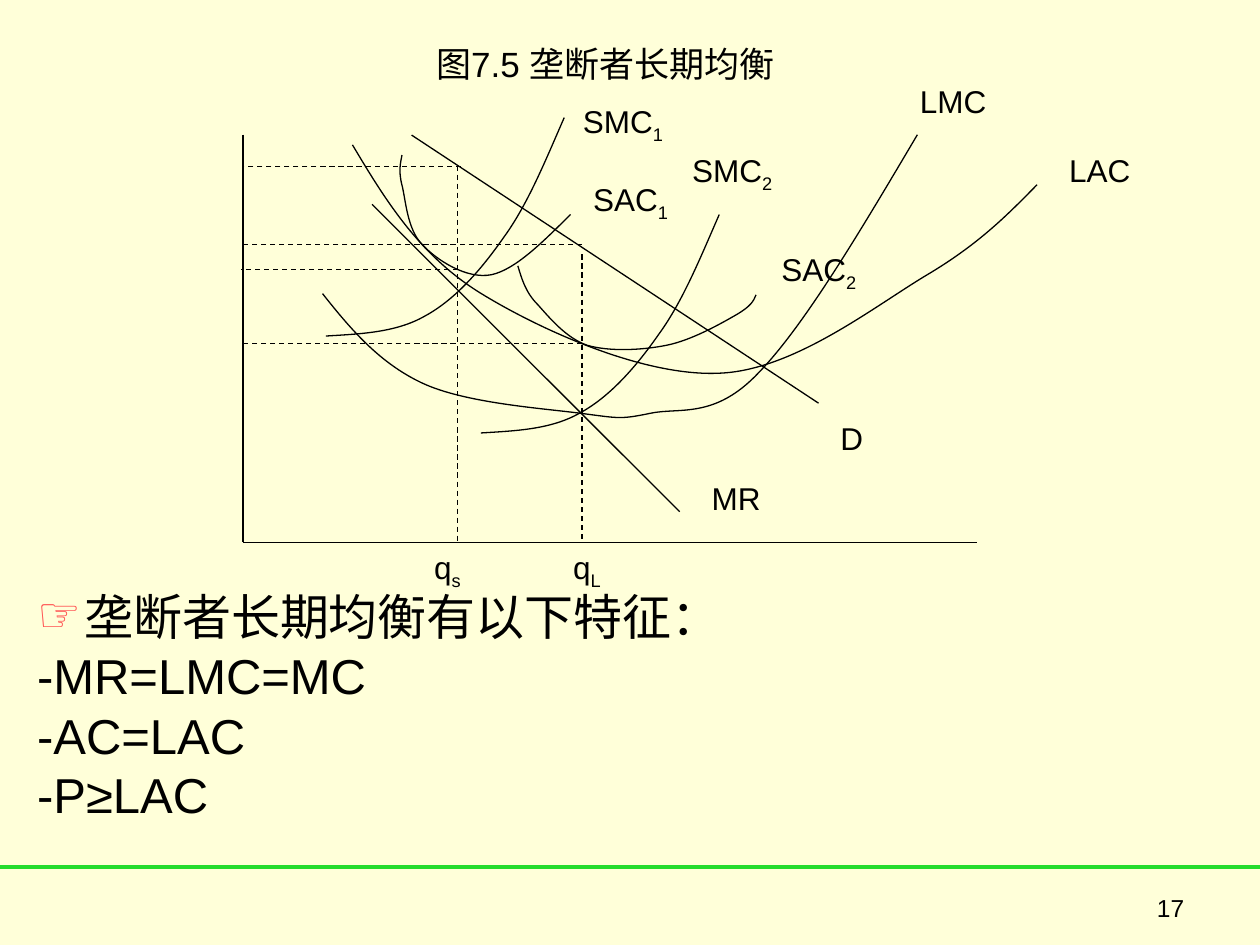
from lxml import etree
from pptx import Presentation
from pptx.dml.color import RGBColor
from pptx.enum import dml, shapes, text
from pptx.oxml import ns
from pptx.util import Pt

CREAM = RGBColor(0xFF, 0xFF, 0xD9)
GREEN = RGBColor(0x24, 0xDC, 0x2D)
RED = RGBColor(0xFF, 0x50, 0x50)
BLACK = RGBColor(0, 0, 0)
FONT = "Arial"

deck = Presentation()
deck.slide_width, deck.slide_height = Pt(720), Pt(540)
page = deck.slides.add_slide(deck.slide_layouts[1])
page.background.fill.solid()
page.background.fill.fore_color.rgb = CREAM


def draw_line(x1, y1, x2, y2, color=BLACK, width=0.75, dashed=False):
    line = page.shapes.add_connector(
        shapes.MSO_CONNECTOR.STRAIGHT, Pt(x1), Pt(y1), Pt(x2), Pt(y2))
    line.line.color.rgb = color
    line.line.width = Pt(width)
    if dashed:
        line.line.dash_style = dml.MSO_LINE.DASH
    etree.SubElement(line._element.spPr, ns.qn("a:effectLst"))


def style_span(span, size):
    span.font.name = FONT
    span.font.size = Pt(size)
    span.font.color.rgb = BLACK


draw_line(0, 495.4, 720, 495.4, GREEN, 2.25)

title = page.shapes.title
title.left, title.top, title.width, title.height = Pt(242), Pt(20), Pt(222), Pt(32)
frame = title.text_frame
frame.text = "图7.5 垄断者长期均衡"
frame.word_wrap = False
frame.auto_size = text.MSO_AUTO_SIZE.NONE
frame.vertical_anchor = text.MSO_ANCHOR.MIDDLE
frame.paragraphs[0].alignment = text.PP_ALIGN.LEFT
style_span(frame.paragraphs[0].runs[0], 20)

body = page.placeholders[1]
body.left, body.top, body.width, body.height = Pt(14), Pt(338), Pt(692), Pt(142)
frame = body.text_frame
frame.text = "垄断者长期均衡有以下特征：\n-MR=LMC=MC\n-AC=LAC\n-P≥LAC"
frame.auto_size = text.MSO_AUTO_SIZE.NONE
for index, para in enumerate(frame.paragraphs):
    props = para._p.get_or_add_pPr()
    props.set("marL", str(Pt(27)))
    props.set("indent", str(Pt(-27)))
    if index == 0:
        bullet_color = etree.SubElement(props, ns.qn("a:buClr"))
        etree.SubElement(bullet_color, ns.qn("a:srgbClr"), val=str(RED))
        etree.SubElement(props, ns.qn("a:buChar"), char="☞")
    else:
        etree.SubElement(props, ns.qn("a:buNone"))
    para.line_spacing = 0.8
    para.space_before = Pt(7 if index else 0)
    style_span(para.runs[0], 28)

axis_x, axis_y = 138.8, 309.8
short_q, long_q = 261.4, 332.6
draw_line(axis_x, 77, axis_x, axis_y)
draw_line(axis_x, axis_y, 558.4, axis_y)
draw_line(235.2, 77.2, 467.8, 230.4)
draw_line(212.6, 116.8, 388.4, 292.4)

draw_line(short_q, 94.6, short_q, axis_y, dashed=True)
draw_line(long_q, 145.4, long_q, axis_y, dashed=True)
for right, y, left in [(263.4, 95, axis_x), (262, 154.2, 137.6),
                       (long_q, 139.8, axis_x), (long_q, 196.4, axis_x)]:
    draw_line(right, y, left, y, dashed=True)

smc1 = [(186.2, 192), (205.9, 190.8), (226.1, 190.1), (242.6, 180.7),
        (259.9, 171.4), (275, 154.1), (288, 135.4),
        (301.7, 116.6), (311.8, 91.4), (322.4, 67.2)]
smc2 = [(x + 88.6, y + 55.4) for x, y in smc1]
sac1 = [(229.7, 88.6), (229, 92.9), (227.5, 97.2), (229.7, 105.8),
        (231.8, 113.8), (232.6, 131), (241.2, 139.7),
        (249.1, 148.3), (266.4, 159.8), (280.8, 157),
        (294.5, 154.1), (310.3, 138.2), (326, 122.6)]
sac2 = [(295.9, 151.9), (298.1, 159.1), (300.2, 167), (307.4, 174.2),
        (313.9, 181.4), (323.3, 193), (335.5, 197.3),
        (347.8, 200.9), (366.5, 200.2), (380.9, 197.3),
        (395.3, 194.4), (411.8, 185), (420.5, 180),
        (429.1, 175), (430.6, 172.1), (432, 168.5)]
lac = [(201.4, 82.8), (220.3, 114.5), (239.8, 146.2), (275, 167.8),
       (310.3, 189.4), (368.6, 215.3), (411.1, 213.3),
       (453.6, 211.7), (499.7, 175), (529.9, 157),
       (560.2, 139), (576.7, 121.7), (592.6, 105.6)]
lmc = [(184.3, 167.8), (200.2, 187.9), (216.7, 207.4), (241.2, 218.9),
       (265.7, 230.4), (309.6, 233.3), (331.9, 236.2),
       (353.5, 239), (354.2, 239.8), (371.5, 236.2),
       (388.1, 232.6), (408.2, 239.8), (433.4, 213.1),
       (459.4, 186.5), (491.8, 131.8), (524.2, 77)]

for controls in [lac, smc1, sac1, sac2, smc2, lmc]:
    start, *points = [(Pt(x), Pt(y)) for x, y in controls]
    builder = page.shapes.build_freeform(*start)
    builder.add_line_segments(points, close=False)
    curve = builder.convert_to_shape()
    segments = list(curve._element.iter(ns.qn("a:lnTo")))
    for first in range(0, len(segments), 3):
        bezier = etree.SubElement(segments[first].getparent(), ns.qn("a:cubicBezTo"))
        for segment in segments[first:first + 3]:
            bezier.append(segment[0])
            segment.getparent().remove(segment)
    curve.shadow.inherit = False
    curve.fill.background()
    curve.line.color.rgb = BLACK
    curve.line.width = Pt(0.75)

labels = [("D", "", 473.2, 236, 40), ("MR", "", 399.6, 270, 51),
          ("SMC", "1", 326, 54.7, 63), ("SAC", "1", 331.8, 99.4, 63),
          ("LAC", "", 603.8, 82.8, 63), ("SMC", "2", 388.4, 82.6, 63),
          ("SAC", "2", 439.4, 139.2, 63), ("LMC", "", 518.6, 43.2, 63),
          ("q", "s", 241, axis_y, 34), ("q", "L", 320.4, axis_y, 34)]
for name, subscript, left, top, width in labels:
    box = page.shapes.add_textbox(Pt(left), Pt(top), Pt(width), Pt(31.6 if subscript else 29))
    box.text_frame.word_wrap = True
    para = box.text_frame.paragraphs[0]
    para.text = name
    if subscript:
        span = para.add_run()
        span.text = subscript
        span.font._element.set("baseline", "-25000")
    for span in para.runs:
        style_span(span, 18)

box = page.shapes.add_textbox(Pt(586.8), Pt(507), Pt(97), Pt(37.4))
box.text_frame.word_wrap = True
box.text_frame.text = "17"
para = box.text_frame.paragraphs[0]
para.alignment = text.PP_ALIGN.RIGHT
style_span(para.runs[0], 14)

deck.save("out.pptx")
